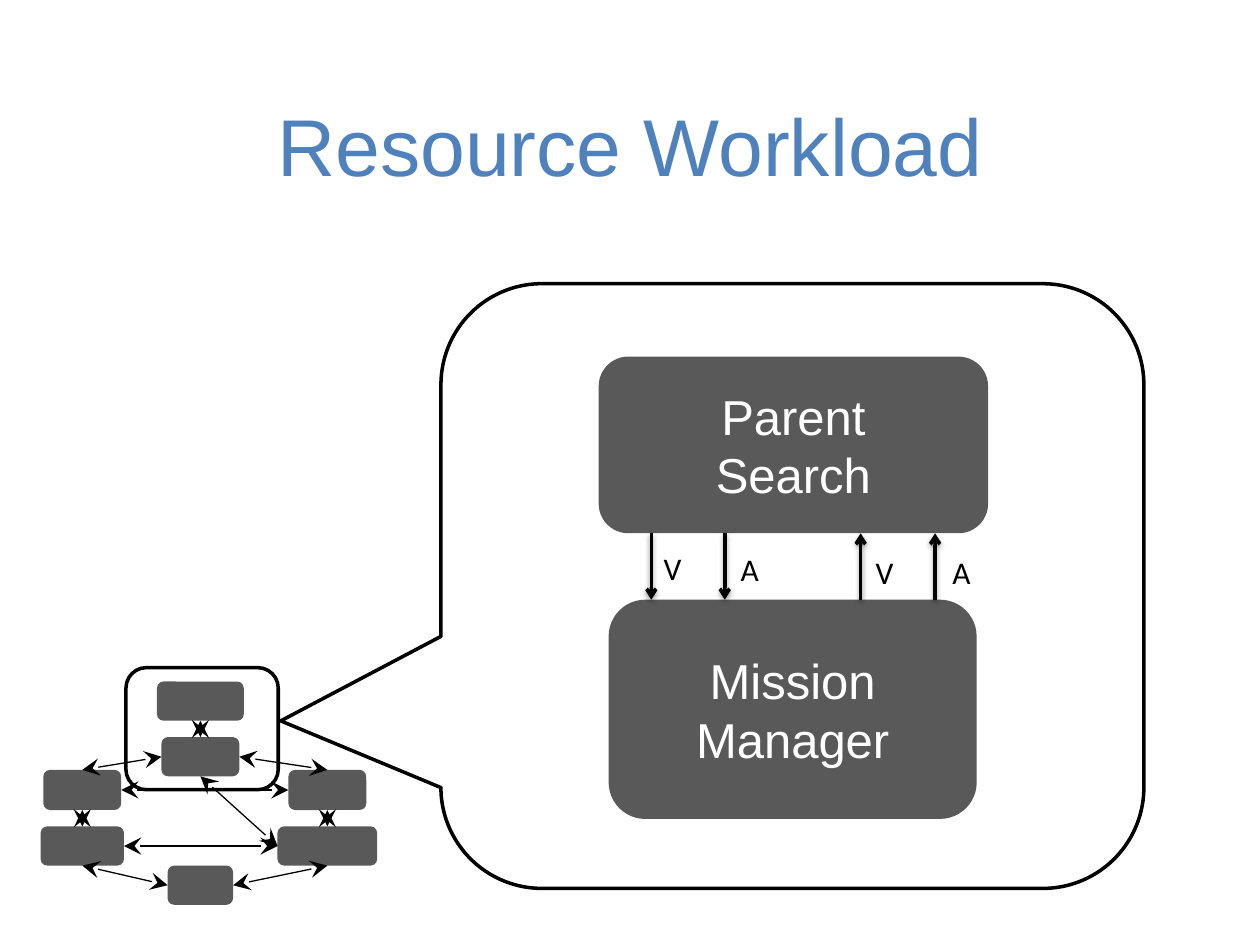
import pptx
import pptx.util
import pptx.dml.color
import pptx.enum.shapes
import pptx.enum.text
import pptx.oxml
import pptx.oxml.ns

Cm, Pt = pptx.util.Cm, pptx.util.Pt
RGBColor = pptx.dml.color.RGBColor
SHAPE = pptx.enum.shapes.MSO_SHAPE
STRAIGHT = pptx.enum.shapes.MSO_CONNECTOR.STRAIGHT
ANCHOR = pptx.enum.text.MSO_ANCHOR
ALIGN = pptx.enum.text.PP_ALIGN

BLACK = RGBColor(0x00, 0x00, 0x00)
WHITE = RGBColor(0xFF, 0xFF, 0xFF)
GRAY = RGBColor(0x59, 0x59, 0x59)
BLUE = RGBColor(0x4F, 0x81, 0xBD)

TOP, LEFT, BOTTOM, RIGHT = range(4)
CORNER = 0.167

# Lengths in centimetres: left, top, width, height
FRAMES = [
    (SHAPE.ROUNDED_RECTANGLE, (2.54, 13.46, 3.07, 2.46), [CORNER]),
    (SHAPE.ROUNDED_RECTANGULAR_CALLOUT, (8.89, 5.72, 14.17, 12.19), [-0.728, 0.223, CORNER]),
]
TITLE = ("Resource Workload", (1.52, 0.3, 22.35, 3.71))
PARENT = (["Parent", "Search"], (12.07, 7.19, 7.85, 3.56))
MANAGER = (["Mission", "Manager"], (12.27, 12.09, 7.42, 4.42))

# Overview nodes: centre x, top, width, height
NODES = {
    "parent": (4.04, 13.74, 1.75, 0.79),
    "manager": (4.04, 14.86, 1.57, 0.79),
    "upper left": (1.66, 15.52, 1.57, 0.81),
    "upper right": (6.6, 15.52, 1.57, 0.81),
    "lower right": (6.6, 16.66, 2.01, 0.79),
    "lower left": (1.66, 16.66, 1.68, 0.79),
    "bottom": (4.04, 17.45, 1.32, 0.79),
}
LINKS = [
    ("parent", BOTTOM, "manager", TOP),
    ("manager", LEFT, "upper left", TOP),
    ("manager", RIGHT, "upper right", TOP),
    ("upper left", BOTTOM, "lower left", TOP),
    ("upper right", BOTTOM, "lower right", TOP),
    ("lower left", BOTTOM, "bottom", LEFT),
    ("lower right", BOTTOM, "bottom", RIGHT),
    ("lower left", RIGHT, "lower right", LEFT),
    ("upper left", RIGHT, "upper right", LEFT),
    ("manager", BOTTOM, "lower right", LEFT),
]

# Flows between the two large boxes: name, x, direction, label left, label top
FLOWS = [
    ("V", 13.13, "down", 13.13, 10.95),
    ("A", 14.61, "down", 14.68, 10.97),
    ("V", 17.35, "up", 17.4, 11.02),
    ("A", 18.85, "up", 18.95, 11.02),
]
LABEL_SIZE = (0.84, 0.86)

SHADOW = (
    '<a:outerShdw blurRad="39370" dist="20320" dir="5400000" rotWithShape="0">'
    '<a:srgbClr val="000000"><a:alpha val="38000"/></a:srgbClr></a:outerShdw>'
)


def add_block(shapes, kind, place, adjustments, fill, line=None):
    block = shapes.add_shape(kind, *map(Cm, place))
    block.shadow.inherit = False
    for index, value in enumerate(adjustments):
        block.adjustments[index] = value
    block.fill.solid()
    block.fill.fore_color.rgb = fill
    if line is None:
        block.line.fill.background()
    else:
        block.line.color.rgb = line
        block.line.width = Pt(2)
    return block


def write(box, lines, size, color, font="Arial", align=ALIGN.CENTER, anchor=ANCHOR.MIDDLE):
    frame = box.text_frame
    frame.vertical_anchor = anchor
    for index, line in enumerate(lines):
        para = frame.paragraphs[0] if index == 0 else frame.add_paragraph()
        para.alignment = align
        span = para.add_run()
        span.text = line
        span.font.name = font
        span.font.size = Pt(size)
        span.font.color.rgb = color


def style_line(line, width, heads, effect=""):
    """Set colour, width, arrowheads and shadow of a connector."""
    line.line.color.rgb = BLACK
    line.line.width = Pt(width)
    namespace = pptx.oxml.ns.nsdecls("a")
    properties = line._element.spPr
    stroke = properties.find(pptx.oxml.ns.qn("a:ln"))
    for end, kind, size in heads:
        stroke.append(pptx.oxml.parse_xml(
            f'<a:{end} {namespace} type="{kind}" w="{size}" len="{size}"/>'))
    properties.append(pptx.oxml.parse_xml(f"<a:effectLst {namespace}>{effect}</a:effectLst>"))


def add_overview(page):
    group = page.shapes.add_group_shape()
    nodes = {}
    for name, (center, top, width, height) in NODES.items():
        place = (center - width / 2, top, width, height)
        nodes[name] = add_block(group.shapes, SHAPE.ROUNDED_RECTANGLE, place, [CORNER], GRAY)
    for start, start_side, end, end_side in LINKS:
        link = group.shapes.add_connector(STRAIGHT, 0, 0, 0, 0)
        link.begin_connect(nodes[start], start_side)
        link.end_connect(nodes[end], end_side)
        style_line(link, 0.75, [("headEnd", "stealth", "lg"), ("tailEnd", "stealth", "lg")])
    # Refit the group now that every link has its final position
    members = list(group.shapes)
    left, top = min(m.left for m in members), min(m.top for m in members)
    right = max(m.left + m.width for m in members)
    bottom = max(m.top + m.height for m in members)
    frame = group._element.grpSpPr.get_or_add_xfrm()
    for tag, x, y in (("off", "x", "y"), ("chOff", "x", "y"),
                      ("ext", "cx", "cy"), ("chExt", "cx", "cy")):
        item = frame.find(pptx.oxml.ns.qn(f"a:{tag}"))
        values = (left, top) if x == "x" else (right - left, bottom - top)
        item.set(x, str(values[0]))
        item.set(y, str(values[1]))


def add_flows(page):
    upper = PARENT[1][1] + PARENT[1][3]
    lower = MANAGER[1][1]
    for name, x, direction, label_left, label_top in FLOWS:
        start, end = (upper, lower) if direction == "down" else (lower, upper)
        arrow = page.shapes.add_connector(STRAIGHT, Cm(x), Cm(start), Cm(x), Cm(end))
        style_line(arrow, 2, [("tailEnd", "arrow", "med")], SHADOW)
        label = page.shapes.add_textbox(Cm(label_left), Cm(label_top), *map(Cm, LABEL_SIZE))
        label.text_frame.word_wrap = False
        write(label, [name], 18, BLACK, "Calibri", ALIGN.LEFT, ANCHOR.TOP)


def main():
    deck = pptx.Presentation()
    deck.slide_width, deck.slide_height = Cm(25.4), Cm(19.05)
    page = deck.slides.add_slide(deck.slide_layouts[6])
    for kind, place, adjustments in FRAMES:
        add_block(page.shapes, kind, place, adjustments, WHITE, BLACK)
    text, place = TITLE
    title = page.shapes.add_textbox(*map(Cm, place))
    title.text_frame.word_wrap = True
    write(title, [text], 46, BLUE, anchor=ANCHOR.BOTTOM)
    for lines, place in (PARENT, MANAGER):
        block = add_block(page.shapes, SHAPE.ROUNDED_RECTANGLE, place, [CORNER], GRAY)
        write(block, lines, 28, WHITE)
    add_overview(page)
    add_flows(page)
    deck.save("out.pptx")


if __name__ == "__main__":
    main()
